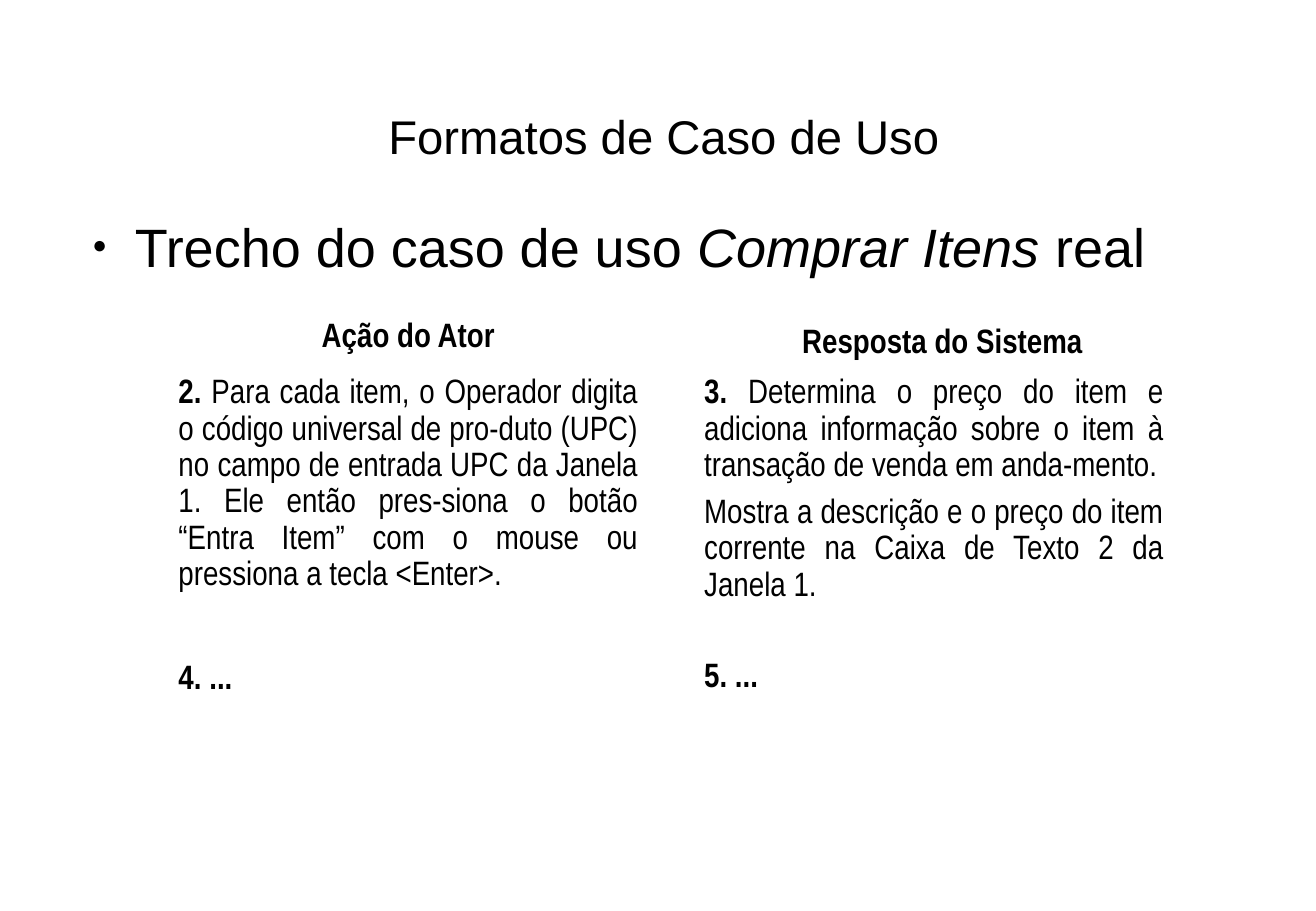
import pptx
import pptx.util
import pptx.dml.color
import pptx.enum.text
import lxml.etree
import pptx.oxml.ns

Pt = pptx.util.Pt
ALIGN = pptx.enum.text.PP_ALIGN
BLACK = pptx.dml.color.RGBColor(0, 0, 0)
WHITE = pptx.dml.color.RGBColor(255, 255, 255)


def add_run(paragraph, text, font="Arial Narrow", size=20, bold=False, italic=False):
    run = paragraph.add_run()
    run.text = text
    run.font.name = font
    run.font.size = Pt(size)
    run.font.bold = bold
    run.font.italic = italic
    run.font.color.rgb = BLACK


def prepare_frame(shape, left, top, width, height):
    shape.left, shape.top = Pt(left), Pt(top)
    shape.width, shape.height = Pt(width), Pt(height)
    frame = shape.text_frame
    frame.word_wrap = True
    frame.auto_size = pptx.enum.text.MSO_AUTO_SIZE.NONE
    frame.vertical_anchor = pptx.enum.text.MSO_ANCHOR.TOP
    return frame


presentation = pptx.Presentation()
presentation.slide_width = Pt(780)
presentation.slide_height = Pt(540)
slide = presentation.slides.add_slide(presentation.slide_layouts[1])

title = slide.shapes.title
body = slide.placeholders[1]
for shape in (title, body):
    shape.fill.solid()
    shape.fill.fore_color.rgb = WHITE

paragraph = prepare_frame(title, 42.4, 60, 702, 108).paragraphs[0]
paragraph.alignment = ALIGN.CENTER
add_run(paragraph, "Formatos de Caso de Uso", font="Arial", size=28)

paragraph = prepare_frame(body, 38.7, 122.8, 702, 306).paragraphs[0]
paragraph.space_before = Pt(3.5)
for text, italic in (("Trecho do caso de uso ", False), ("Comprar Itens", True), (" real", False)):
    add_run(paragraph, text, font="Arial", size=32, italic=italic)
properties = paragraph._p.get_or_add_pPr()
properties.set("marL", str(Pt(34)))
properties.set("indent", str(-Pt(25.2)))
for tag, name, value in (("a:buSzPct", "val", "45000"), ("a:buFont", "typeface", "Arial"), ("a:buChar", "char", "●")):
    lxml.etree.SubElement(properties, pptx.oxml.ns.qn(tag)).set(name, value)

ACTOR_LEFT, SYSTEM_LEFT = 98.7, 410.3
COLUMN_WIDTH = 286.5
column_texts = [
    (ACTOR_LEFT, 185, COLUMN_WIDTH, 31, ALIGN.CENTER, [("Ação do Ator", "")]),
    (SYSTEM_LEFT, 188.8, 296.6, 28, ALIGN.CENTER, [("Resposta do Sistema", "")]),
    (ACTOR_LEFT, 218.4, COLUMN_WIDTH, 142, ALIGN.JUSTIFY, [
        ("2.", " Para cada item, o Operador digita o código universal de pro-duto (UPC) "
               "no campo de entrada UPC da Janela 1. Ele então pres-siona o botão "
               "“Entra Item” com o mouse ou pressiona a tecla <Enter>."),
    ]),
    (SYSTEM_LEFT, 218.4, COLUMN_WIDTH, 143, ALIGN.JUSTIFY, [
        ("3.", " Determina o preço do item e adiciona informação sobre o item à "
               "transação de venda em anda-mento."),
        ("", "Mostra a descrição e o preço do item corrente na Caixa de Texto 2 da Janela 1."),
    ]),
    (ACTOR_LEFT, 388, COLUMN_WIDTH, 75, ALIGN.JUSTIFY, [("4. ...", "")]),
    (SYSTEM_LEFT, 386.6, COLUMN_WIDTH, 75.5, ALIGN.JUSTIFY, [("5. ...", "")]),
]
for left, top, width, height, alignment, paragraphs in column_texts:
    outline = slide.shapes.build_freeform(0, 0)
    outline.add_line_segments([(Pt(width), 0), (Pt(width), Pt(height)), (0, Pt(height))], close=True)
    text_area = outline.convert_to_shape()
    text_area.shadow.inherit = False
    text_area.fill.background()
    text_area.line.fill.background()
    frame = prepare_frame(text_area, left, top, width, height)
    for index, (bold_text, plain_text) in enumerate(paragraphs):
        paragraph = frame.add_paragraph() if index else frame.paragraphs[0]
        paragraph.alignment = alignment
        paragraph.line_spacing = 0.9
        paragraph.space_before = Pt(6.2)
        for text, bold in ((bold_text, True), (plain_text, False)):
            if text:
                add_run(paragraph, text, bold=bold)

presentation.save("out.pptx")
